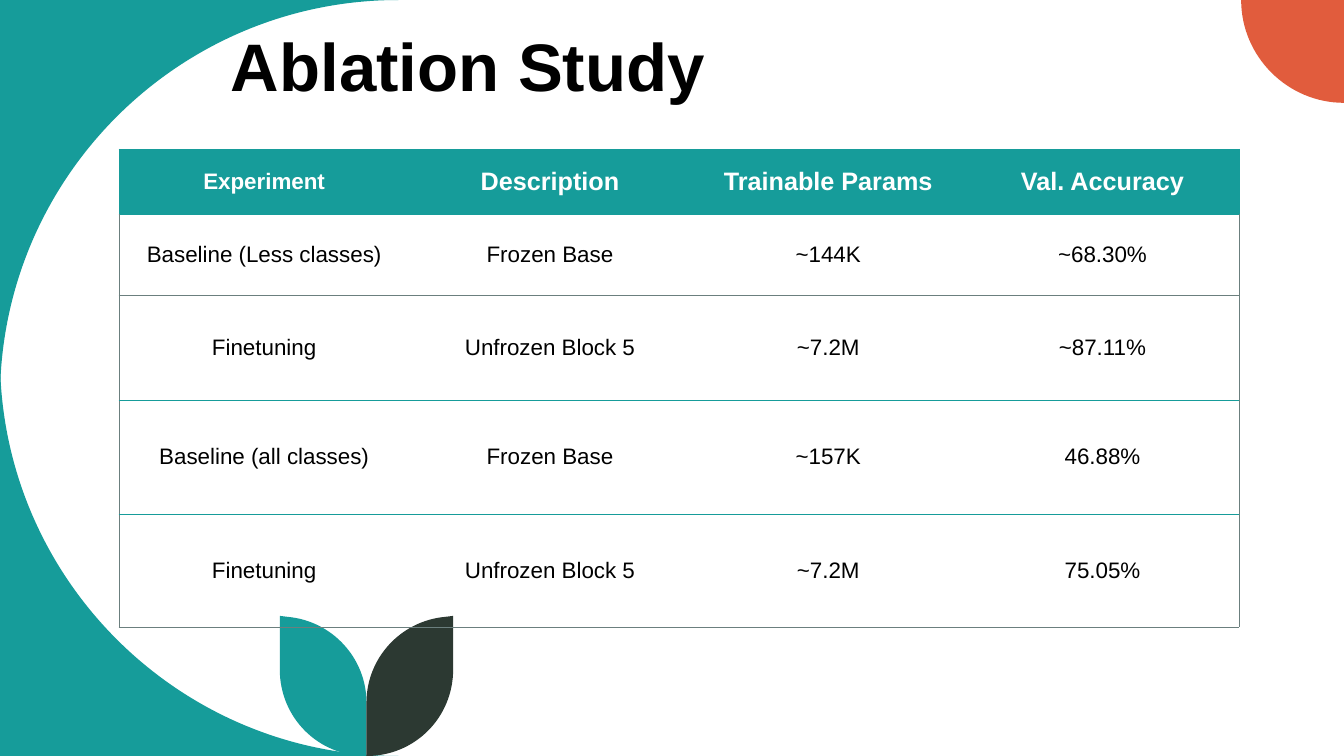
"""Build the ablation study slide: results table on a leaf-themed background."""
from lxml.etree import SubElement
from pptx import Presentation
from pptx.dml.color import RGBColor
from pptx.enum.text import MSO_ANCHOR, PP_ALIGN
from pptx.oxml.ns import qn
from pptx.util import Inches, Pt

TEAL = RGBColor(0x16, 0x9C, 0x9A)
ORANGE = RGBColor(0xE1, 0x5C, 0x3D)
DARK = RGBColor(0x2C, 0x39, 0x32)
GREY = RGBColor(0x6B, 0x7F, 0x7E)
BLACK = RGBColor(0, 0, 0)
WHITE = RGBColor(255, 255, 255)
WIDTH, HEIGHT = 13.33, 7.5

prs = Presentation()
prs.slide_width, prs.slide_height = Inches(WIDTH), Inches(HEIGHT)
slide = prs.slides.add_slide(prs.slide_layouts[5])


def add_outline(start, segments, color):
    """Draw a closed shape; one point makes a line, three make a Bezier curve."""
    builder = slide.shapes.build_freeform(Inches(start[0]), Inches(start[1]))
    builder.add_line_segments(
        [(Inches(x), Inches(y)) for segment in segments for x, y in segment], close=True)
    decoration = builder.convert_to_shape()
    decoration.shadow.inherit = False
    decoration.fill.solid()
    decoration.fill.fore_color.rgb = color
    decoration.line.fill.background()
    steps = iter(list(decoration._element.iter(qn("a:lnTo"))))
    for segment in segments:
        first = next(steps)
        if len(segment) == 3:
            first.tag = qn("a:cubicBezTo")
            for step in (next(steps), next(steps)):
                first.append(step[0])
                step.getparent().remove(step)


def set_border(cell, edge, color):
    """Draw one thin cell edge, or clear it when color is None."""
    line = SubElement(cell._tc.get_or_add_tcPr(), qn(f"a:{edge}"), w=str(Pt(0.5)))
    if color is None:
        SubElement(line, qn("a:noFill"))
    else:
        SubElement(SubElement(line, qn("a:solidFill")), qn("a:srgbClr"), val=str(color))


radius, bend = 3.95, 1.77
for edge, inward in ((0, 1), (HEIGHT, -1)):
    add_outline((0, edge), [
        [(radius, edge)],
        [(bend, edge), (0, edge + inward * bend), (0, edge + inward * radius)],
    ], TEAL)

add_outline((WIDTH, 0), [
    [(12.31, 0)],
    [(12.31, 0.56), (12.77, 1.02), (WIDTH, 1.02)],
], ORANGE)

stem = 7.27 / 2
for side, color in ((-1, TEAL), (1, DARK)):
    tip, shoulder, outer, inner = [stem + side * reach for reach in (0.86, 0.78, 0.48, 0.34)]
    add_outline((tip, 6.11), [
        [(tip, 6.64)],
        [(tip, 7.12), (outer, HEIGHT), (stem, HEIGHT)],
        [(stem, 6.97)],
        [(stem, 6.53), (inner, 6.16), (shoulder, 6.12)],
    ], color)

title = slide.shapes.title
title.left, title.top = Inches(2.19), Inches(0.27)
title.width, title.height = Inches(11.15), Inches(0.85)
title.text_frame.text = "Ablation Study"
title.text_frame.vertical_anchor = MSO_ANCHOR.MIDDLE
heading = title.text_frame.paragraphs[0]
heading.alignment = PP_ALIGN.LEFT
heading.line_spacing = 0.9
heading.runs[0].font.name = "Arial"
heading.runs[0].font.size = Pt(48)
heading.runs[0].font.bold = True
heading.runs[0].font.color.rgb = BLACK

results = [
    ("Experiment", "Description", "Trainable Params", "Val. Accuracy"),
    ("Baseline (Less classes)", "Frozen Base", "~144K", "~68.30%"),
    ("Finetuning", "Unfrozen Block 5", "~7.2M", "~87.11%"),
    ("Baseline (all classes)", "Frozen Base", "~157K", "46.88%"),
    ("Finetuning", "Unfrozen Block 5", "~7.2M", "75.05%"),
]
column_widths = (2.88, 2.79, 2.73, 2.71)
row_heights = (0.65, 0.8, 1.04, 1.13, 1.12)
rules = (TEAL, TEAL, GREY, TEAL, TEAL, GREY)

table = slide.shapes.add_table(
    len(results), len(column_widths), Inches(1.18), Inches(1.48),
    Inches(sum(column_widths)), Inches(sum(row_heights))).table
table.horz_banding = False
table._tbl.tblPr.find(qn("a:tableStyleId")).text = "{2D5ABB26-0587-4C30-8999-92F81FD0307C}"
for column, width in zip(table.columns, column_widths):
    column.width = Inches(width)

for r, record in enumerate(results):
    table.rows[r].height = Inches(row_heights[r])
    is_header = r == 0
    frame = TEAL if is_header else GREY
    for c, value in enumerate(record):
        cell = table.cell(r, c)
        set_border(cell, "lnL", frame if c == 0 else None)
        set_border(cell, "lnR", frame if c == len(record) - 1 else None)
        set_border(cell, "lnT", rules[r])
        set_border(cell, "lnB", rules[r + 1])
        if is_header:
            cell.fill.solid()
            cell.fill.fore_color.rgb = TEAL
        else:
            cell.fill.background()
        cell.vertical_anchor = MSO_ANCHOR.MIDDLE
        cell.text_frame.text = value
        entry = cell.text_frame.paragraphs[0]
        entry.alignment = PP_ALIGN.CENTER
        font = entry.runs[0].font
        font.name, font.bold = "Arial", is_header
        font.size = Pt(18 if is_header and c > 0 else 16)
        font.color.rgb = WHITE if is_header else BLACK

prs.save("out.pptx")
